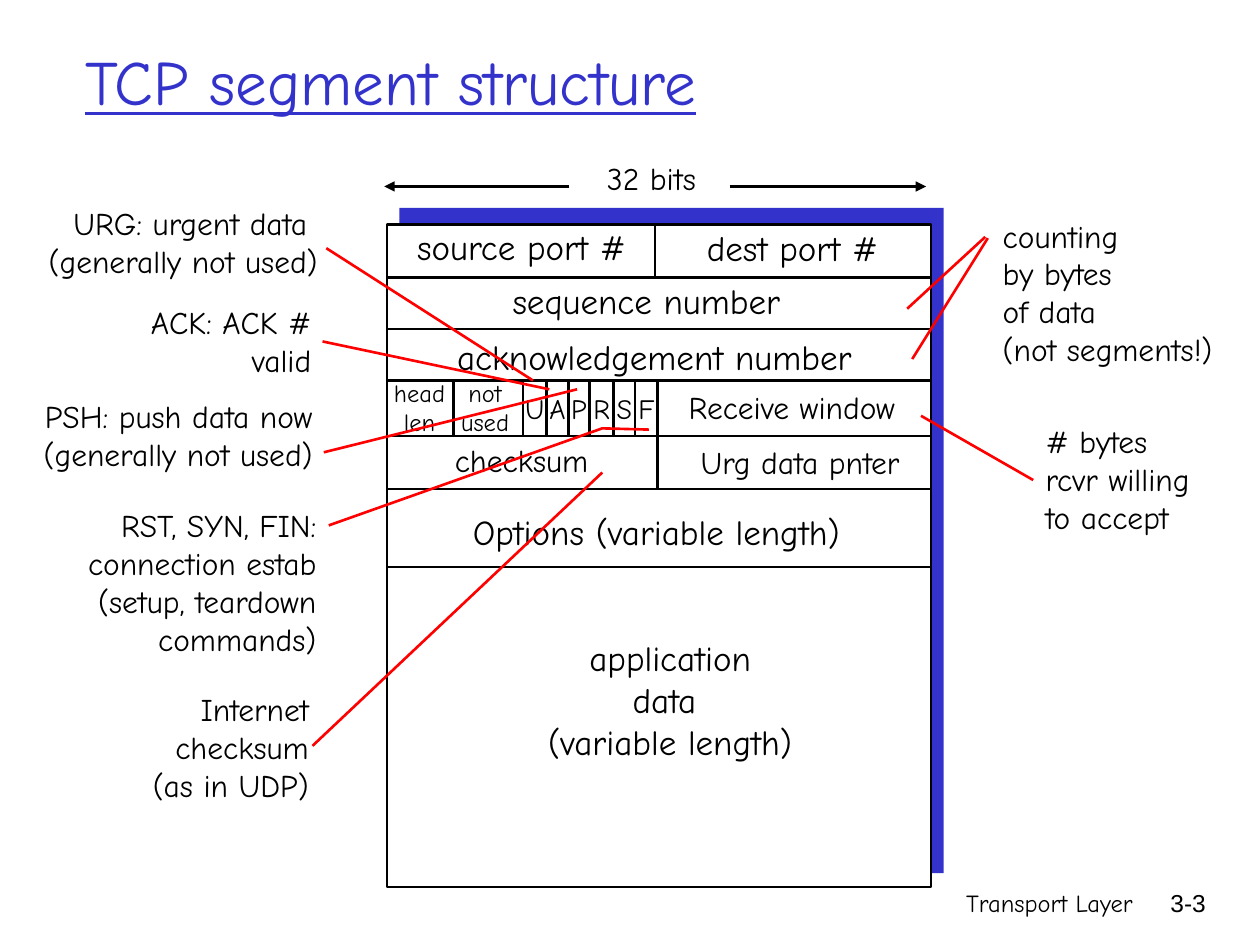
import dataclasses

import lxml.etree
import pptx
import pptx.dml.color
import pptx.enum.shapes
import pptx.enum.text
import pptx.oxml.ns
import pptx.util

Inches = pptx.util.Inches
Align = pptx.enum.text.PP_ALIGN
Anchor = pptx.enum.text.MSO_ANCHOR
Fit = pptx.enum.text.MSO_AUTO_SIZE


@dataclasses.dataclass(frozen=True)
class Theme:
    font: str = "Comic Neue"
    plain: str = "Arial"
    ink: str = "000000"
    paper: str = "FFFFFF"
    blue: str = "3333CC"
    red: str = "FF0000"
    title: int = 36
    field: int = 20
    note: int = 18
    flag: int = 16
    small: int = 14
    rule: float = 1.5


THEME = Theme()


def rgb(code):
    return pptx.dml.color.RGBColor.from_string(code)


def add_text(slide, left, top, width, text, size, align=Align.CENTER,
             height=None, font=THEME.font, color=THEME.ink, wrap=False,
             anchor=Anchor.TOP, under=False):
    """Add a text box; unless given, its height follows its line count."""
    if height is None:
        height = 0.1 + (text.count("\n") + 1) * size / 60
    shape = slide.shapes.add_textbox(
        Inches(left), Inches(top), Inches(width), Inches(height))
    frame = shape.text_frame
    frame.text = text
    frame.word_wrap = wrap
    frame.auto_size = Fit.NONE if wrap else Fit.SHAPE_TO_FIT_TEXT
    frame.vertical_anchor = anchor
    for para in frame.paragraphs:
        para.alignment = align
        for run in para.runs:
            run.font.name = font
            run.font.size = pptx.util.Pt(size)
            run.font.color.rgb = rgb(color)
            run.font.underline = under


def add_line(slide, start, end, color=THEME.ink, arrow=False):
    line = slide.shapes.add_connector(
        pptx.enum.shapes.MSO_CONNECTOR.STRAIGHT,
        *(Inches(v) for v in (*start, *end)))
    line.line.color.rgb = rgb(color)
    line.line.width = pptx.util.Pt(THEME.rule)
    qn = pptx.oxml.ns.qn
    props = line._element.find(qn("p:spPr"))
    if arrow:
        stroke = props.find(qn("a:ln"))
        lxml.etree.SubElement(stroke, qn("a:tailEnd"), type="triangle")
    lxml.etree.SubElement(props, qn("a:effectLst"))


def add_path(slide, points, color):
    start, *rest = [(Inches(x), Inches(y)) for x, y in points]
    pen = slide.shapes.build_freeform(*start)
    pen.add_line_segments(rest, close=False)
    shape = pen.convert_to_shape()
    shape.shadow.inherit = False
    shape.fill.background()
    shape.line.color.rgb = rgb(color)
    shape.line.width = pptx.util.Pt(THEME.rule)


def add_panel(slide, box, fill, edge=None):
    shape = slide.shapes.add_shape(
        pptx.enum.shapes.MSO_SHAPE.RECTANGLE, *(Inches(v) for v in box))
    shape.shadow.inherit = False
    shape.fill.solid()
    shape.fill.fore_color.rgb = rgb(fill)
    if edge:
        shape.line.color.rgb = rgb(edge)
        shape.line.width = pptx.util.Pt(THEME.rule)
    else:
        shape.line.fill.background()


def draw_title(slide, box):
    left, top, width, height = box
    add_text(slide, left, top, width, "TCP segment structure", THEME.title,
             Align.LEFT, height, color=THEME.blue, wrap=True,
             anchor=Anchor.MIDDLE, under=True)


def draw_foot(slide, box):
    left, top, width, height = box
    page = 0.74
    add_text(slide, left, top, width - 0.58, "Transport Layer", THEME.small,
             Align.RIGHT, height, wrap=True)
    add_text(slide, left + width - page, top, page, "3-3", THEME.small,
             Align.RIGHT, height, font=THEME.plain, wrap=True)


def draw_scale(slide, box):
    """Width mark: a label between two outward arrows."""
    left, top, width, height = box
    mid = top + 0.27
    add_text(slide, left + 1.62, top, 1, "32 bits", THEME.note)
    add_line(slide, (left + 1.47, mid), (left, mid), arrow=True)
    add_line(slide, (left + 2.74, mid), (left + width, mid), arrow=True)


def draw_segment(slide, box):
    left, top, width, height = box
    add_panel(slide, (left + 0.1, top - 0.13, width, height + 0.02),
              THEME.blue)
    add_panel(slide, box, THEME.paper, THEME.ink)

    # Row rules
    rows = [0.42, 0.83, 1.24, 1.68, 2.1, 2.72]
    for y in rows:
        add_line(slide, (left, top + y), (left + width, top + y))

    # Column rules
    ticks = [1.08, 1.27, 1.44, 1.61, 1.8, 1.97, 2.15]
    cols = [(2.13, 0, rows[0]), (2.15, rows[2], rows[4])]
    cols += [(x, rows[2], rows[3]) for x in [0.53, *ticks[:-1]]]
    for x, high, low in cols:
        add_line(slide, (left + x, top + high), (left + x, top + low))

    # Flag letters, each centred between its ticks
    wide = 0.35
    for flag, near, far in zip("UAPRSF", ticks, ticks[1:]):
        x = left + (near + far - wide) / 2
        add_text(slide, x, top + 1.28, wide, flag, THEME.flag)

    # Field names: offset, width, text, size
    fields = [
        (0.14, -0.04, 1.86, "source port #", THEME.field),
        (2.44, -0.03, 1.56, "dest port #", THEME.field),
        (0.7, 0.39, 2.72, "sequence number", THEME.field),
        (0.26, 0.83, 3.73, "acknowledgement number", THEME.field),
        (-0.09, 1.17, 0.7, "head\nlen", THEME.small),
        (0.44, 1.17, 0.68, "not\nused", THEME.small),
        (2.29, 1.25, 1.85, "Receive window", THEME.note),
        (0.44, 1.67, 1.26, "checksum", THEME.note),
        (2.38, 1.69, 1.8, "Urg data pnter", THEME.note),
        (0.58, 2.22, 3.12, "Options (variable length)", THEME.field),
        (1.18, 3.22, 2.14, "application\ndata \n(variable length)",
         THEME.field),
    ]
    for x, y, wide, text, size in fields:
        add_text(slide, left + x, top + y, wide, text, size)


def draw_notes(slide, box, align, notes):
    """Each note has an offset, a width, a text and its leader lines."""
    left, top = box[:2]
    for x, y, wide, text, leads in notes:
        add_text(slide, left + x, top + y, wide, text, THEME.note, align)
        for lead in leads:
            points = [(left + px, top + py) for px, py in lead]
            if len(points) == 2:
                add_line(slide, *points, color=THEME.red)
            else:
                add_path(slide, points, THEME.red)


LEFT = [
    (0.04, 0, 2.34, "URG: urgent data \n(generally not used)",
     [[(2.35, 0.4), (3.99, 1.45)]]),
    (0.86, 0.79, 1.47, "ACK: ACK #\nvalid", [[(2.32, 1.14), (4.12, 1.52)]]),
    (0, 1.53, 2.34, "PSH: push data now\n(generally not used)",
     [[(2.33, 2.02), (4.34, 1.52)]]),
    (0.35, 2.4, 2.02,
     "RST, SYN, FIN:\nconnection estab\n(setup, teardown\ncommands)",
     [[(2.37, 2.6), (4.54, 1.83), (4.91, 1.84)]]),
    (0.87, 3.86, 1.44, "Internet\nchecksum\n(as in UDP)",
     [[(2.24, 4.35), (4.54, 2.18)]]),
]
RIGHT = [
    (0, 0, 1.88, "counting\nby bytes\nof data\n(not segments!)",
     [[(-0.02, 0.22), (-0.62, 1.18)], [(-0.04, 0.21), (-0.66, 0.78)]]),
    (0.34, 1.63, 1.35, "# bytes\nrcvr willing\nto accept",
     [[(0.34, 2.14), (-0.55, 1.63)]]),
]


def main():
    deck = pptx.Presentation()
    deck.slide_width, deck.slide_height = Inches(10), Inches(7.5)
    slide = deck.slides.add_slide(deck.slide_layouts[6])
    draw_foot(slide, (5.92, 7, 3.75, 0.5))
    draw_title(slide, (0.58, 0.21, 8.5, 0.85))
    draw_segment(slide, (3.07, 1.78, 4.32, 5.26))
    draw_scale(slide, (3.05, 1.21, 4.3, 0.4))
    draw_notes(slide, (0.24, 1.57, 2.38, 4.86), Align.RIGHT, LEFT)
    draw_notes(slide, (7.86, 1.67, 1.88, 2.63), Align.LEFT, RIGHT)
    deck.save("out.pptx")


if __name__ == "__main__":
    main()
